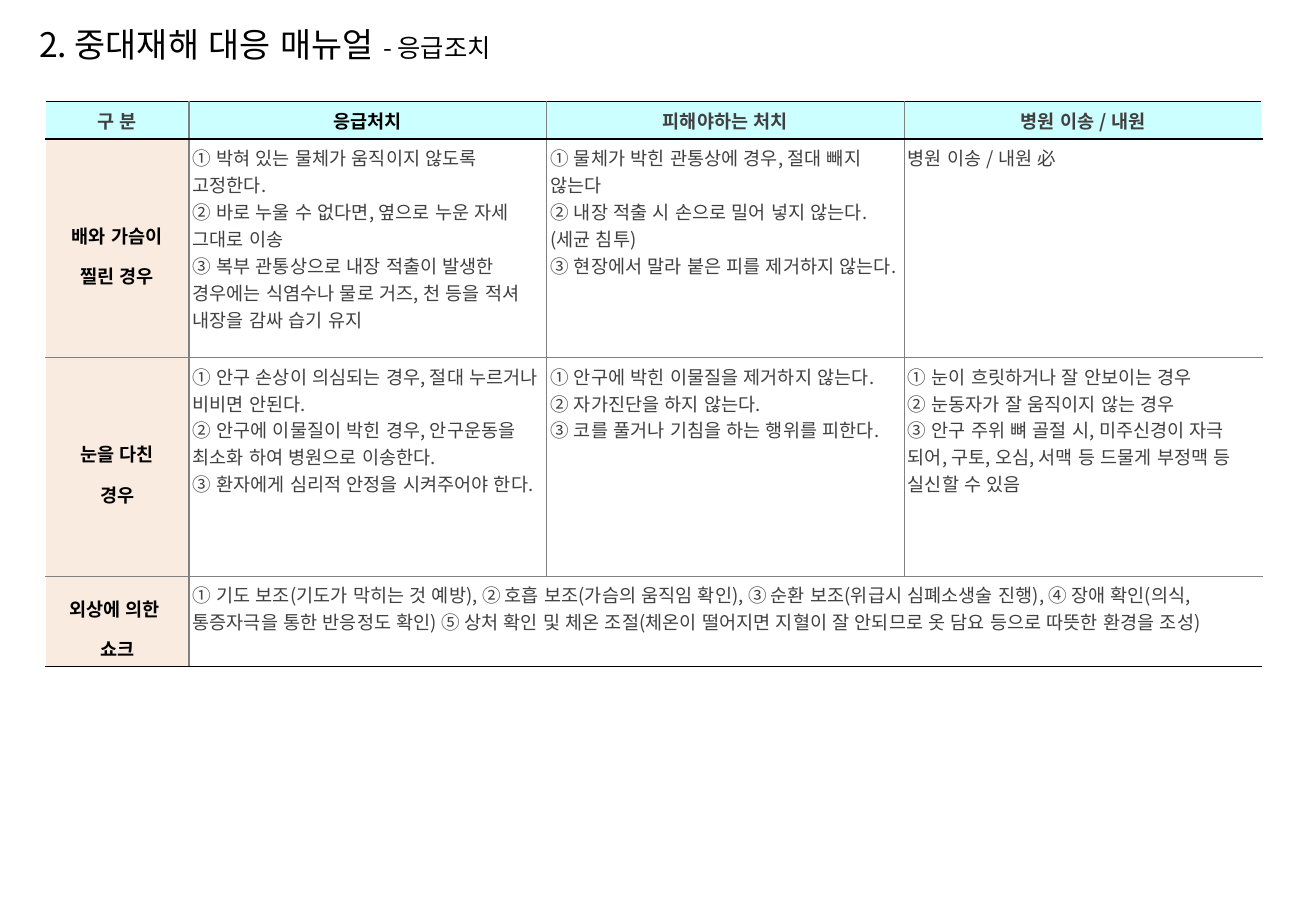
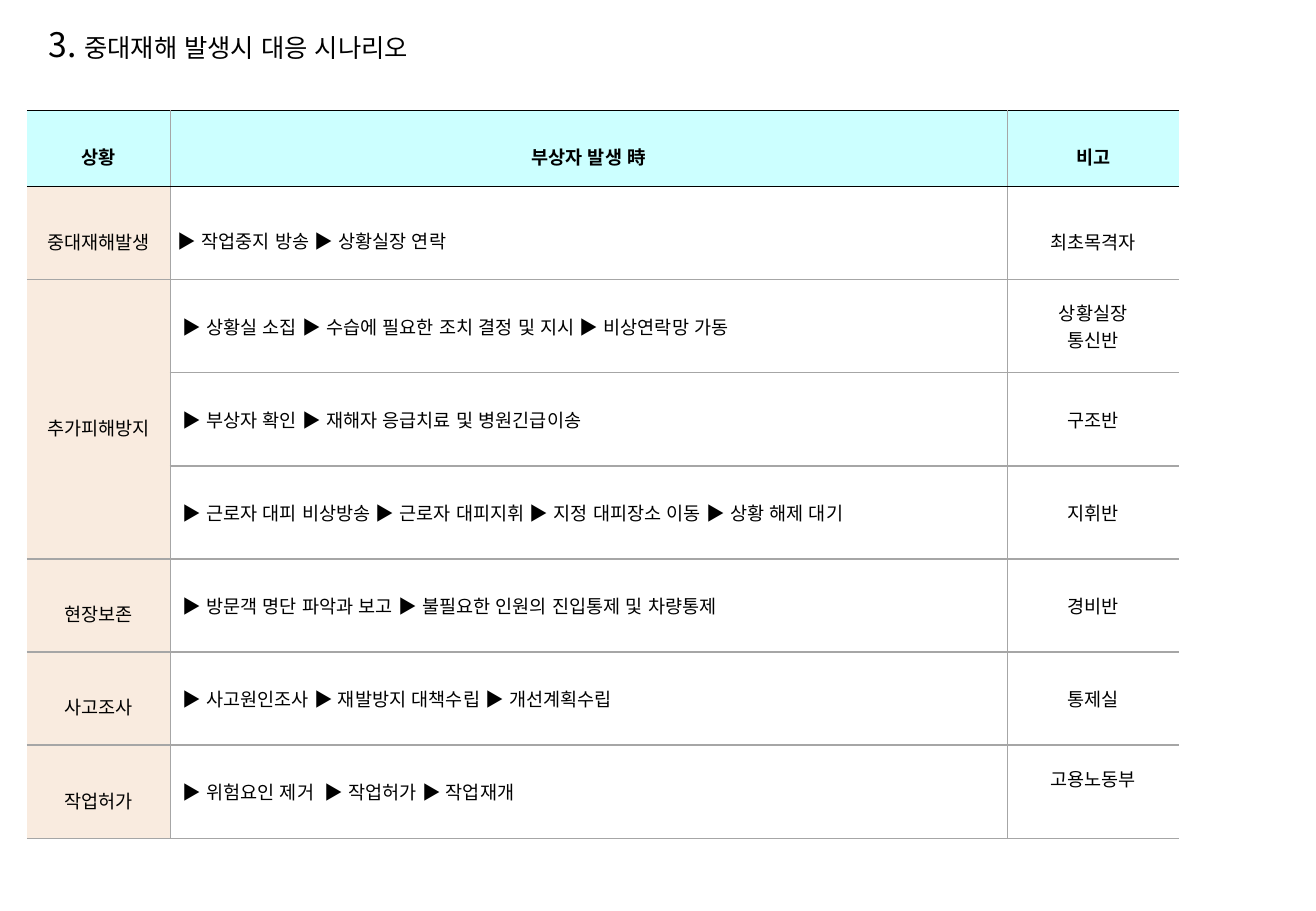
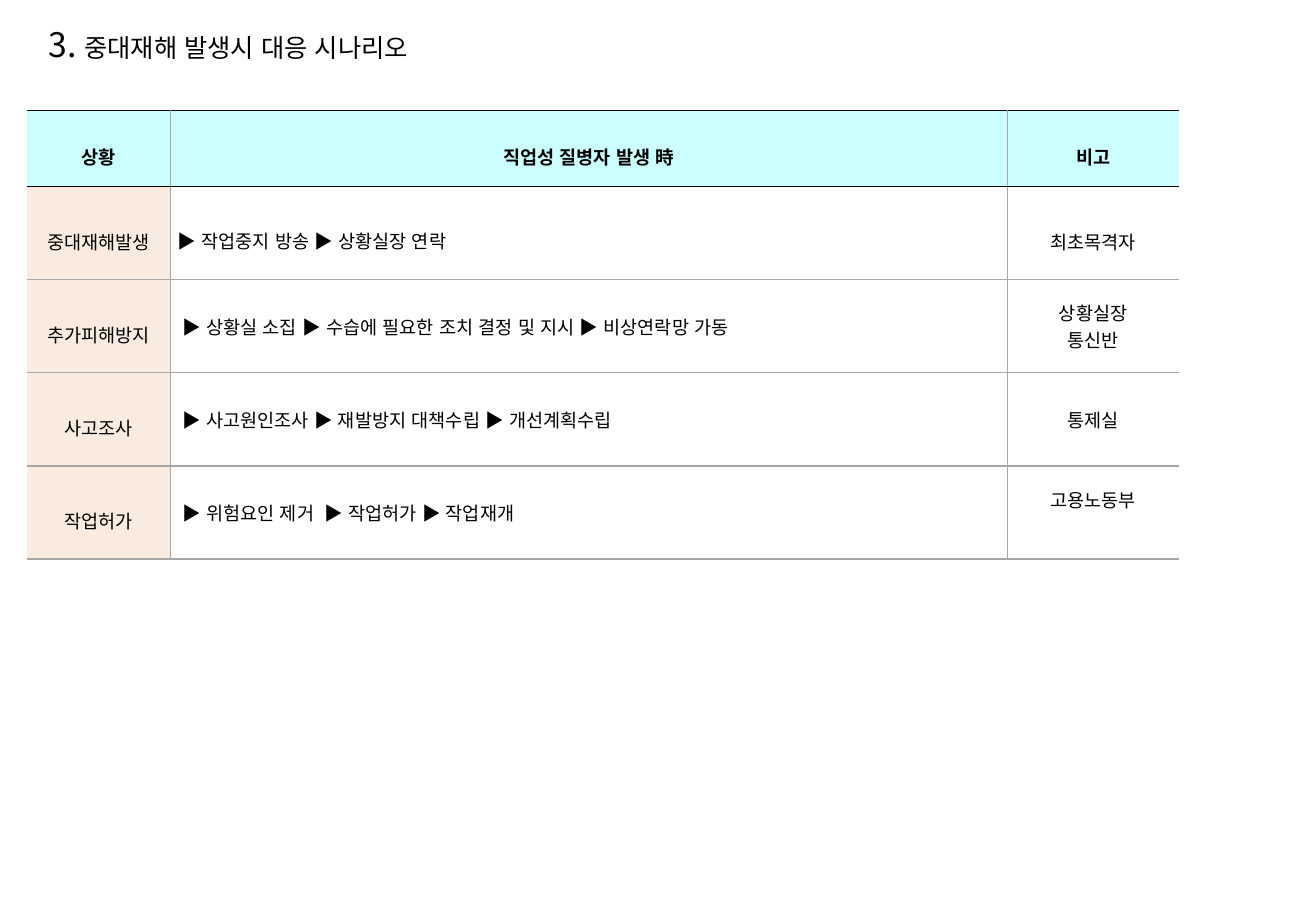
import dataclasses
import pptx
import pptx.util
import pptx.dml.color
import pptx.enum.lang
import pptx.enum.text
import pptx.oxml.ns
import lxml.etree

Pt = pptx.util.Pt
ALIGN = pptx.enum.text.PP_ALIGN
ANCHOR = pptx.enum.text.MSO_ANCHOR
FONT = "Noto Sans CJK KR"
HUES = {
    "black": "000000", "text": "404040", "white": "FFFFFF", "head": "CCFFFF",
    "label": "F9EBDF", "grey": "808080", "pale": "A6A6A6",
}


@dataclasses.dataclass
class Look:
    inset: tuple = (7.2, 3.6, 7.2, 3.6)
    align: object = ALIGN.CENTER
    anchor: object = ANCHOR.MIDDLE
    space: float = 1.0
    bold: bool = False
    hue: str = "black"
    fill: str = ""


CARE_PAD = (5.76, 2.88, 5.76, 2.88)
TIGHT = (0.72, 0.72, 0.72, 0.72)
LOOKS = {
    "care head": Look(CARE_PAD, bold=True, hue="text", fill="head"),
    "care main": Look(CARE_PAD, bold=True, fill="head"),
    "care label": Look(CARE_PAD, space=1.5, bold=True, fill="label"),
    "care body": Look((2.16, 2.88, 2.16, 2.88), ALIGN.LEFT, ANCHOR.TOP, hue="text"),
    "head": Look(TIGHT, space=1.6, bold=True, fill="head"),
    "label": Look(TIGHT, space=1.6, fill="label"),
    "first": Look((4.32, 0.72, 0.72, 0.72), ALIGN.JUSTIFY, space=1.5),
    "finder": Look(TIGHT, space=1.6),
    "step": Look(align=ALIGN.LEFT),
    "note": Look(),
    "raised": Look((7.2, 3.6, 7.2, 19)),
}

CARE = [
    [("care head", "구 분"), ("care main", "응급처치"),
     ("care head", "피해야하는 처치"), ("care head", "병원 이송 / 내원")],
    [("care label", "배와 가슴이\n찔린 경우"),
     ("care body", "① 박혀 있는 물체가 움직이지 않도록 고정한다.\n"
                   "② 바로 누울 수 없다면, 옆으로 누운 자세 그대로 이송\n"
                   "③ 복부 관통상으로 내장 적출이 발생한 경우에는 식염수나 물로 거즈, "
                   "천 등을 적셔 내장을 감싸 습기 유지"),
     ("care body", "① 물체가 박힌 관통상에 경우, 절대 빼지 않는다\n"
                   "② 내장 적출 시 손으로 밀어 넣지 않는다. (세균 침투)\n"
                   "③ 현장에서 말라 붙은 피를 제거하지 않는다."),
     ("care body", "병원 이송 / 내원 必")],
    [("care label", "눈을 다친\n경우"),
     ("care body", "① 안구 손상이 의심되는 경우, 절대 누르거나 비비면 안된다.\n"
                   "② 안구에 이물질이 박힌 경우, 안구운동을 최소화 하여 병원으로 이송한다.\n"
                   "③ 환자에게 심리적 안정을 시켜주어야 한다."),
     ("care body", "① 안구에 박힌 이물질을 제거하지 않는다.\n"
                   "② 자가진단을 하지 않는다.\n"
                   "③ 코를 풀거나 기침을 하는 행위를 피한다."),
     ("care body", "① 눈이 흐릿하거나 잘 안보이는 경우\n"
                   "② 눈동자가 잘 움직이지 않는 경우\n"
                   "③ 안구 주위 뼈 골절 시, 미주신경이 자극 되어, 구토, 오심, "
                   "서맥 등 드물게 부정맥 등 실신할 수 있음")],
    [("care label", "외상에 의한 \n쇼크"),
     ("care body", "① 기도 보조(기도가 막히는 것 예방), ② 호흡 보조(가슴의 움직임 확인), "
                   "③ 순환 보조(위급시 심폐소생술 진행), ④ 장애 확인(의식, 통증자극을 통한 "
                   "반응정도 확인) ⑤ 상처 확인 및 체온 조절(체온이 떨어지면 지혈이 잘 "
                   "안되므로 옷 담요 등으로 따뜻한 환경을 조성)"),
     None, None],
]


def row(label, step, note, kinds=("step", "note")):
    return [label and ("label", label), (kinds[0], step), (kinds[1], note)]


ALERT = row("중대재해발생", "▶ 작업중지 방송 ▶ 상황실장 연락 ", "최초목격자", ("first", "finder"))
GATHER = row("추가피해방지", "▶ 상황실 소집 ▶ 수습에 필요한 조치 결정 및 지시 ▶ 비상연락망 가동",
             "상황실장\n통신반")
RESCUE = row(None, "▶ 부상자 확인 ▶ 재해자 응급치료 및 병원긴급이송", "구조반")
CLEAR = row(None, "▶ 근로자 대피 비상방송 ▶ 근로자 대피지휘 ▶ 지정 대피장소 이동 ▶ 상황 해제 대기",
            "지휘반")
GUARD = row("현장보존", "▶ 방문객 명단 파악과 보고 ▶ 불필요한 인원의 진입통제 및 차량통제", "경비반")
PROBE = row("사고조사", "▶ 사고원인조사 ▶ 재발방지 대책수립 ▶ 개선계획수립", "통제실")
RESUME = row("작업허가", "▶ 위험요인 제거  ▶ 작업허가 ▶ 작업재개", "고용노동부", ("step", "raised"))


def add_run(para, text, size, hue="black", bold=False):
    run = para.add_run()
    run.text = text
    font = run.font
    font.size, font.bold, font.name = Pt(size), bold, FONT
    font.language_id = pptx.enum.lang.MSO_LANGUAGE_ID.KOREAN
    font.color.rgb = pptx.dml.color.RGBColor.from_string(HUES[hue])
    props = run._r.get_or_add_rPr()
    lxml.etree.SubElement(props, pptx.oxml.ns.qn("a:ea"), typeface=FONT)


def set_lines(cell, lines):
    props = cell._tc.get_or_add_tcPr()
    for side in "LRTB":
        line = lxml.etree.SubElement(props, pptx.oxml.ns.qn("a:ln" + side))
        if lines[side]:
            hue, width = lines[side]
            line.set("w", str(Pt(width)))
            fill = lxml.etree.SubElement(line, pptx.oxml.ns.qn("a:solidFill"))
            lxml.etree.SubElement(fill, pptx.oxml.ns.qn("a:srgbClr"), val=HUES[hue])
        else:
            line.set("w", "0")
            lxml.etree.SubElement(line, pptx.oxml.ns.qn("a:noFill"))


def fill_cell(cell, kind, text):
    look = LOOKS[kind]
    (cell.margin_left, cell.margin_top,
     cell.margin_right, cell.margin_bottom) = map(Pt, look.inset)
    cell.vertical_anchor = look.anchor
    frame = cell.text_frame
    for num, part in enumerate(text.split("\n")):
        para = frame.add_paragraph() if num else frame.paragraphs[0]
        para.alignment, para.line_spacing = look.align, look.space
        add_run(para, part, 11, look.hue, look.bold)
    if look.fill:
        cell.fill.solid()
        cell.fill.fore_color.rgb = pptx.dml.color.RGBColor.from_string(HUES[look.fill])


def add_grid(slide, left, top, cols, rows, cells, span, falls, levels):
    shape = slide.shapes.add_table(
        len(rows), len(cols), Pt(left), Pt(top), Pt(sum(cols)), Pt(sum(rows)))
    table = shape.table
    table.first_row = table.horz_banding = False
    for col, width in zip(table.columns, cols):
        col.width = Pt(width)
    for line, height in zip(table.rows, rows):
        line.height = Pt(height)

    def owner(r, c):
        if span and span[0] <= r <= span[2] and span[1] <= c <= span[3]:
            return span[:2]
        return r, c

    for r, line in enumerate(cells):
        for c, item in enumerate(line):
            cell, home = table.cell(r, c), owner(r, c)
            set_lines(cell, {
                "L": None if owner(r, c - 1) == home else falls[c],
                "R": None if owner(r, c + 1) == home else falls[c + 1],
                "T": None if owner(r - 1, c) == home else levels[r],
                "B": None if owner(r + 1, c) == home else levels[r + 1],
            })
            cell.fill.background()
            if item:
                fill_cell(cell, *item)
    if span:
        table.cell(*span[:2]).merge(table.cell(*span[2:]))


def add_title(slide, left, width, runs):
    title = slide.shapes.title
    title.left, title.top, title.width, title.height = map(Pt, (left, 9.4, width, 33.8))
    frame = title.text_frame
    frame.auto_size = pptx.enum.text.MSO_AUTO_SIZE.NONE
    frame.word_wrap = True
    frame.vertical_anchor = ANCHOR.MIDDLE
    para = frame.paragraphs[0]
    para.alignment = ALIGN.LEFT
    for text, size in runs:
        add_run(para, text, size)


def new_slide(deck):
    return deck.slides.add_slide(deck.slide_layouts[5])


def care_slide(deck):
    slide = new_slide(deck)
    add_title(slide, 16, 748, [("2. 중대재해 대응 매뉴얼 ", 20), ("- 응급조치", 15)])
    dark, grey, edge = ("black", 1), ("grey", 1), ("white", 1)
    add_grid(slide, 27, 60, [85] + [212] * 3, [22.4, 129.6, 129.6, 52.6], CARE,
             (3, 1, 3, 3), [edge, grey, grey, grey, edge], [dark, dark, grey, grey, dark])


def plan_slide(deck, event, steps, span=None):
    slide = new_slide(deck)
    add_title(slide, 21.6, 578, [("3. ", 20), ("중대재해 발생시 대응 시나리오", 15)])
    head = [("head", text) for text in ("상황", event, "비고")]
    dark, pale = ("black", 1), ("pale", 1)
    add_grid(slide, 16, 65.6, [85, 496, 102], [45] + [55.2] * len(steps), [head] + steps,
             span, [None, pale, ("pale", 0.5), None], [dark, dark] + [pale] * len(steps))


def main():
    deck = pptx.Presentation()
    deck.slide_width, deck.slide_height = Pt(780), Pt(540)
    care_slide(deck)
    plan_slide(deck, "부상자 발생 時",
               [ALERT, GATHER, RESCUE, CLEAR, GUARD, PROBE, RESUME], (2, 0, 4, 0))
    plan_slide(deck, "직업성 질병자 발생 時", [ALERT, GATHER, PROBE, RESUME])
    deck.save("out.pptx")


if __name__ == "__main__":
    main()
